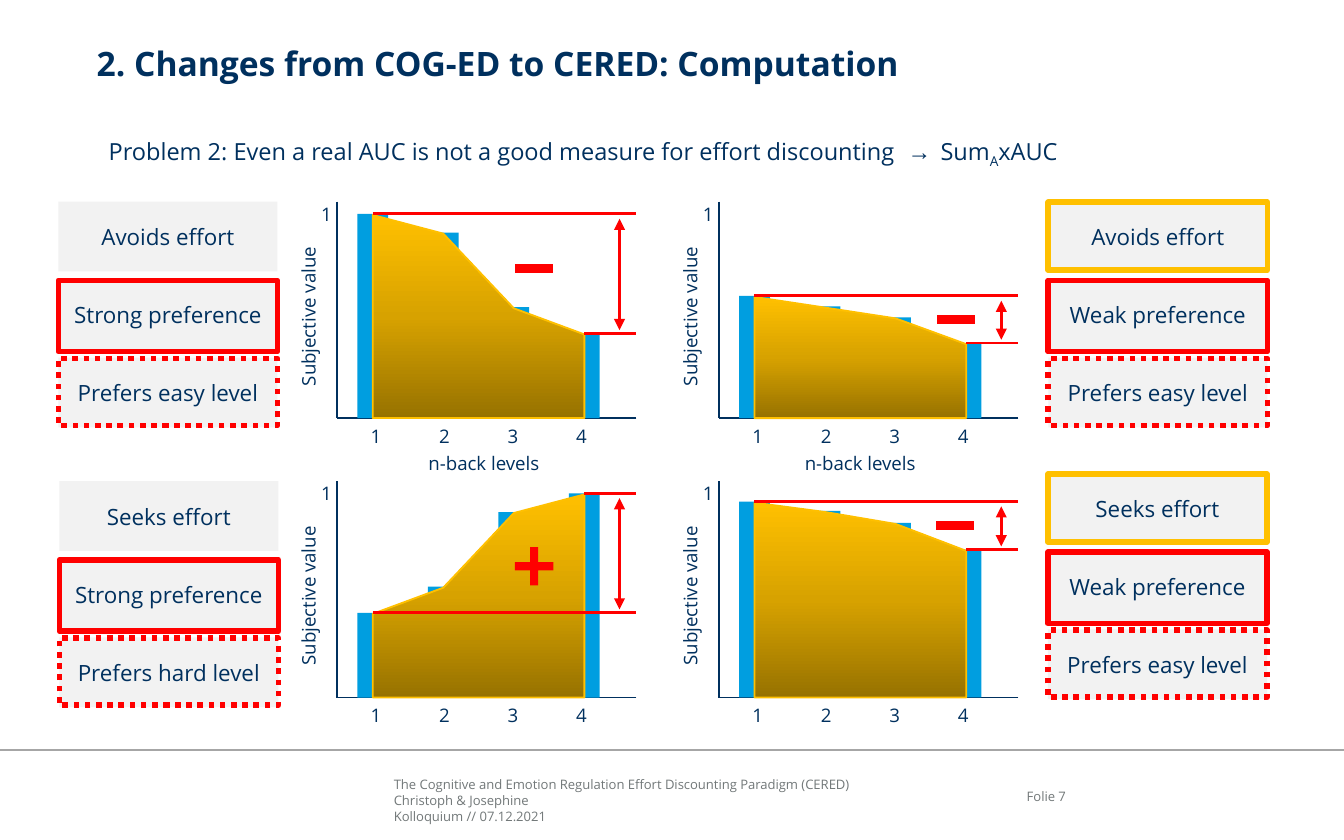
import copy
from dataclasses import dataclass

import pptx
import pptx.dml.color
import pptx.enum.dml
import pptx.enum.shapes
import pptx.enum.text
import pptx.oxml.ns
import pptx.util
from lxml import etree

Pt = pptx.util.Pt
Shape = pptx.enum.shapes.MSO_SHAPE
Anchor = pptx.enum.text.MSO_ANCHOR
Align = pptx.enum.text.PP_ALIGN
Dash = pptx.enum.dml.MSO_LINE
qn = pptx.oxml.ns.qn


def rgb(code):
    return pptx.dml.color.RGBColor.from_string(code)


def put(item, form):
    for key, value in form.items():
        setattr(item, key, value)


@dataclass(frozen=True)
class Theme:
    font: str = "Open Sans"
    mono: str = "Courier New"
    navy: str = "00305E"
    blue: str = "009EE0"
    gold: str = "FFC000"
    red: str = "FF0000"
    pale: str = "F2F2F2"
    gray: str = "727879"
    rule: str = "A6A6A6"
    fade: tuple = ((0, "977200"), (0.5, "D7A200"), (1, "FFC000"))
    title: float = 18
    lead: float = 12.6
    body: float = 12
    label: float = 10
    foot: float = 7


class Deck:
    def __init__(self, theme, slide):
        self.theme, self.slide = theme, slide
        self.shapes = slide.shapes

    def run(self, para, words, size, color=None, bold=False, font=None):
        piece = para.add_run()
        piece.text = words
        put(piece.font, {"name": font or self.theme.font, "size": Pt(size), "bold": bold})
        piece.font.color.rgb = rgb(color or self.theme.navy)
        return piece

    def text(self, spot, words, size, wrap=False, pad=True, turn=0,
             anchor=Anchor.TOP, align=Align.LEFT, **look):
        box = self.shapes.add_textbox(*map(Pt, spot))
        box.rotation = turn
        frame = box.text_frame
        put(frame, {"word_wrap": wrap, "vertical_anchor": anchor})
        if not pad:
            put(frame, {f"margin_{side}": 0 for side in ("left", "top", "right", "bottom")})
        for row, line in enumerate(words.split("\n")):
            para = frame.add_paragraph() if row else frame.paragraphs[0]
            para.alignment = align
            self.run(para, line, size, **look)
        return frame.paragraphs[0]

    def block(self, kind, spot, fill=None, line=None, dash=None):
        item = self.shapes.add_shape(kind, *map(Pt, spot))
        item.shadow.inherit = False
        if fill:
            item.fill.solid()
            item.fill.fore_color.rgb = rgb(fill)
        else:
            item.fill.background()
        if line:
            item.line.color.rgb = rgb(line)
            put(item.line, {"width": Pt(3), "dash_style": dash})
        else:
            item.line.fill.background()
        return item

    def line(self, start, end, color, width, heads=False):
        item = self.shapes.add_connector(
            pptx.enum.shapes.MSO_CONNECTOR.STRAIGHT, *map(Pt, start + end))
        item.line.color.rgb = rgb(color)
        item.line.width = Pt(width)
        props = item._element.spPr
        if heads:
            for tag in ("a:headEnd", "a:tailEnd"):
                etree.SubElement(props.find(qn("a:ln")), qn(tag), type="triangle")
        etree.SubElement(props, qn("a:effectLst"))
        return item

    def area(self, points):
        """Closed outline with the gold fade, dark at the bottom."""
        dots = [(Pt(x), Pt(y)) for x, y in points]
        pen = self.shapes.build_freeform(*dots[0])
        pen.add_line_segments(dots[1:], close=True)
        item = pen.convert_to_shape()
        item.shadow.inherit = False
        item.fill.gradient()
        item.fill.gradient_angle = 90
        stops = item._element.spPr.find(".//" + qn("a:gsLst"))
        stops.insert(1, copy.deepcopy(stops[0]))
        for stop, (place, color) in zip(item.fill.gradient_stops, self.theme.fade):
            stop.position = place
            stop.color.rgb = rgb(color)
        item.line.color.rgb = rgb(self.theme.gold)
        item.line.width = Pt(1)

    def ticks(self, left, top):
        para = self.text((left, top, 133.2, 19.4), "1\t2\t3\t4", self.theme.label, wrap=True)
        tabs = etree.SubElement(para._p.get_or_add_pPr(), qn("a:tabLst"))
        for step in (1, 2, 3):
            etree.SubElement(tabs, qn("a:tab"), pos=str(Pt(36.7 * step)), algn="l")

    def chart(self, left, base, highs):
        """Bars, the area through their tops, axes, labels and the red span."""
        look = self.theme
        right = left + 160.3
        self.line((left, base - 116), (left, base), look.navy, 1)
        self.line((right, base), (left, base), look.navy, 1)
        self.text((left - 60.5, base - 64.8, 90, 19.4), "Subjective value", look.label, turn=270)
        self.text((left - 15.8, base - 119, 20.2, 19.4), "1", look.label)
        self.ticks(left + 10.8, base)
        mids = [left + 19 + 37.8 * step for step in range(4)]
        bars = [self.block(Shape.RECTANGLE, (mid - 8.25, base - high, 16.5, high), look.blue)
                for mid, high in zip(mids, highs)]
        tops = [(mid, base - high + 0.6) for mid, high in zip(mids, highs)]
        self.area([(mids[0], base), *tops, (mids[-1], base)])
        for spot in (0, -1):
            level = base - highs[spot]
            self.line((mids[spot], level), (right, level), look.red, 1.5).begin_connect(bars[spot], 0)
        low, high = sorted((highs[0], highs[-1]))
        self.line((left + 151.2, base - low - 1.8), (left + 151.2, base - high + 2.6),
                  look.red, 1.5, heads=True)

    def sign(self, kind, left, top, size, thick):
        self.block(kind, (left, top, 28, size), self.theme.red).adjustments[0] = thick

    def stack(self, left, top, rows):
        """Three text boxes, each with a frame (colour, height, dash) or none."""
        for row, (words, frame) in enumerate(rows):
            y = top + 41.8 * row
            box = self.block(Shape.RECTANGLE, (left, y, 117.4, 37.4), self.theme.pale)
            put(box.text_frame, {"vertical_anchor": Anchor.MIDDLE, "word_wrap": True})
            para = box.text_frame.paragraphs[0]
            para.alignment = Align.CENTER
            self.run(para, words, self.theme.body)
            if frame:
                color, high, dash = frame
                self.block(Shape.RECTANGLE, (left, y + 0.4, 117.4, high), line=color, dash=dash)


def main():
    show = pptx.Presentation()
    put(show, {"slide_width": Pt(720), "slide_height": Pt(450)})
    look = Theme()
    deck = Deck(look, show.slides.add_slide(show.slide_layouts[6]))

    deck.line((0, 401.8), (720, 401.8), look.rule, 1)
    deck.text((211, 412.7, 306.7, 28.6),
              "The Cognitive and Emotion Regulation Effort Discounting Paradigm (CERED)\n"
              "Christoph & Josephine\nKolloquium // 07.12.2021",
              look.foot, wrap=True, pad=False, anchor=Anchor.BOTTOM, color=look.gray)
    deck.text((529.2, 422.2, 41.8, 9.6), "Folie 7", look.foot, wrap=True, pad=False,
              align=Align.RIGHT, color=look.gray)
    deck.text((51.8, 23, 625, 44.6), "2. Changes from COG-ED to CERED: Computation",
              look.title, wrap=True, pad=False, bold=True)
    deck.text((51.1, 69.8, 454.3, 22.3),
              "Problem 2: Even a real AUC is not a good measure for effort discounting", look.lead)
    para = deck.text((481.7, 69.8, 94.3, 22.3), "→ ", look.lead, font=look.mono)
    deck.run(para, "Sum", look.lead)
    small = deck.run(para, "A", look.lead)
    small.font._element.set("baseline", "-25000")
    deck.run(para, "xAUC", look.lead)

    west, east, upper, lower = 180.7, 385.2, 224, 373.7
    fall = (109.4, 99.4, 59.4, 45.4)
    deck.chart(west, upper, fall)
    deck.chart(west, lower, fall[::-1])
    deck.chart(east, upper, (65.5, 59.8, 54, 40.2))
    deck.chart(east, lower, (105, 100, 93.6, 79.2))
    for left in (222.5, 424.1):
        deck.text((left, 238.3, 76.3, 19.4), "n-back levels", look.label)
    deck.sign(Shape.MATH_PLUS, 272.2, 289.4, 28, 0.155)
    for left, top in ((272.2, 136.1), (498.2, 163.4), (497.5, 273.6)):
        deck.sign(Shape.MATH_MINUS, left, top, 15.8, 0.308)

    gold = (look.gold, 36.4, None)
    solid = (look.red, 38.2, None)
    dots = (look.red, 36, Dash.ROUND_DOT)
    strong, weak = ("Strong preference", solid), ("Weak preference", solid)
    easy, hard = ("Prefers easy level", dots), ("Prefers hard level", dots)
    deck.stack(31.3, 108, (("Avoids effort", None), strong, easy))
    deck.stack(31.8, 257.8, (("Seeks effort", None), strong, hard))
    deck.stack(561.6, 108, (("Avoids effort", gold), weak, easy))
    deck.stack(561.4, 253.6, (("Seeks effort", gold), weak, easy))
    show.save("out.pptx")


if __name__ == "__main__":
    main()
